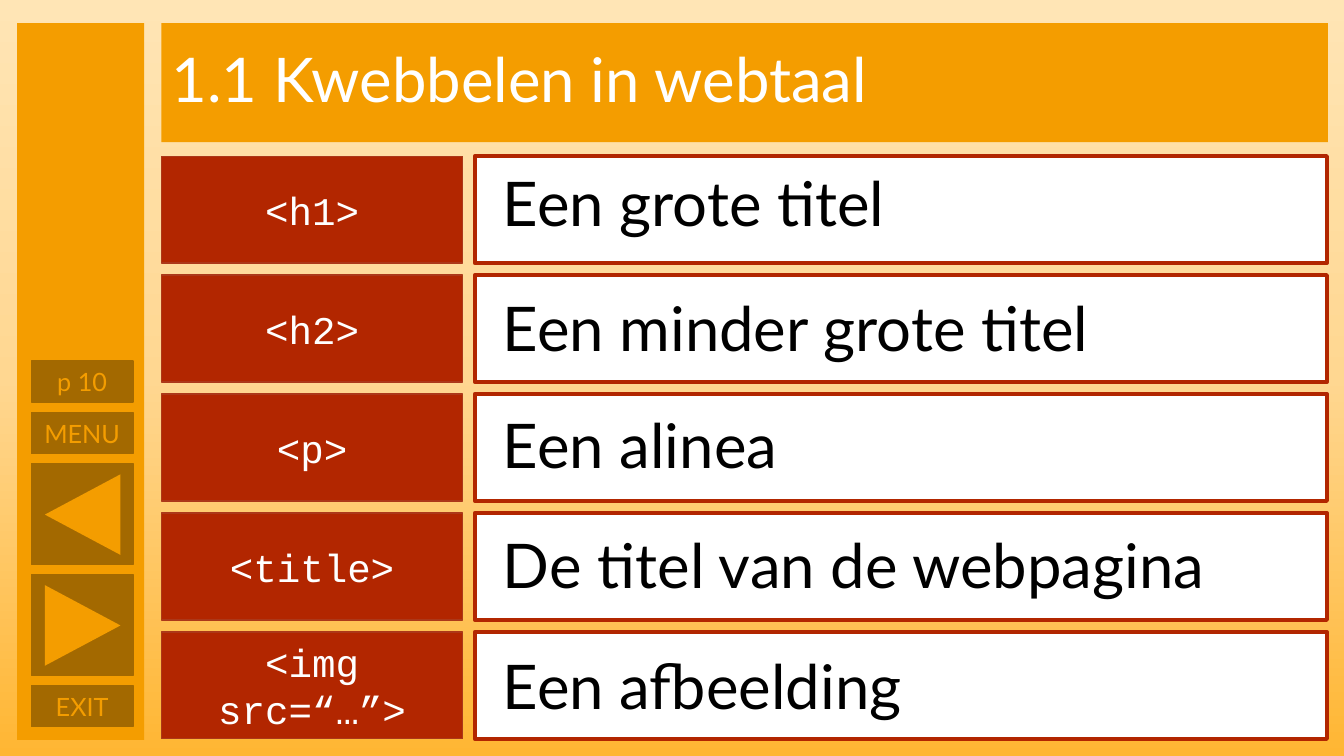
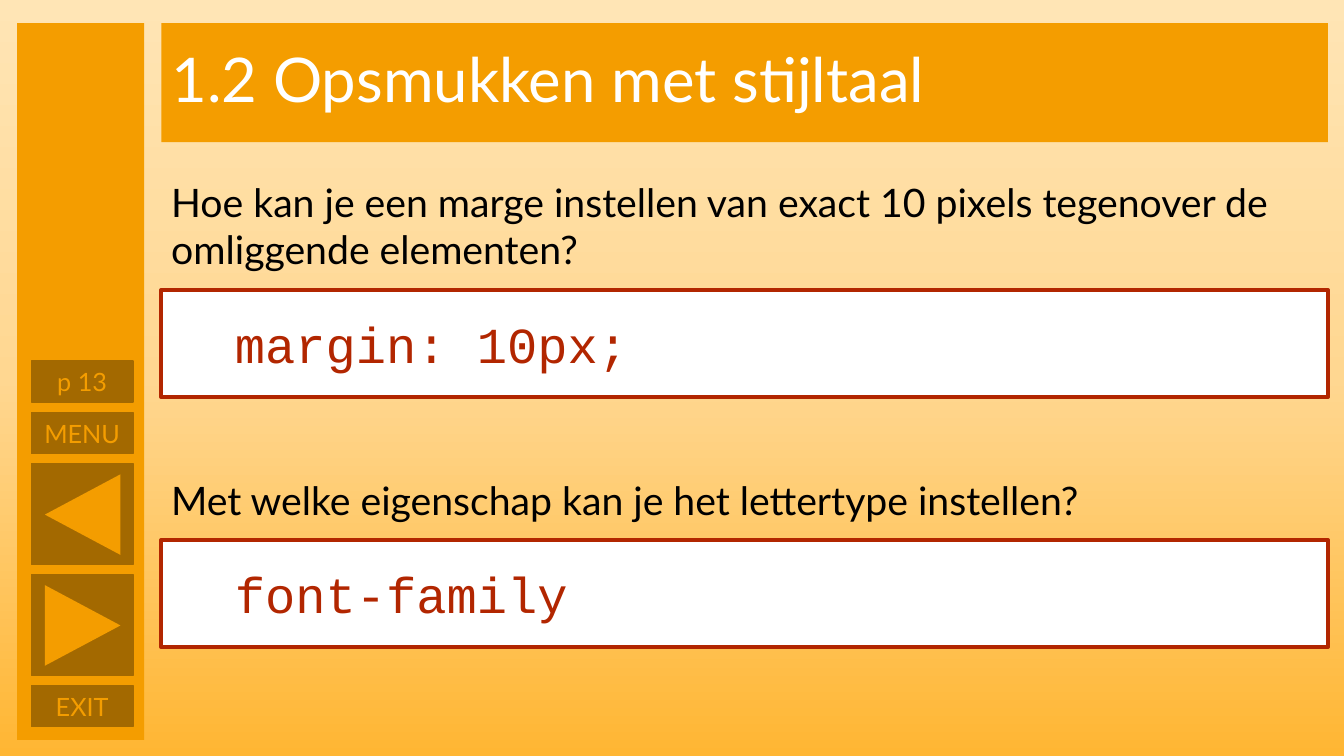
from copy import deepcopy

from pptx import Presentation
from pptx.dml.color import RGBColor
from pptx.enum.shapes import MSO_SHAPE
from pptx.enum.text import MSO_ANCHOR, MSO_AUTO_SIZE, PP_ALIGN
from pptx.util import Inches, Pt

RECTANGLE = MSO_SHAPE.RECTANGLE
TRIANGLE = MSO_SHAPE.ISOSCELES_TRIANGLE
MIDDLE = MSO_ANCHOR.MIDDLE
NO_AUTOFIT = MSO_AUTO_SIZE.NONE
LEFT, CENTER = PP_ALIGN.LEFT, PP_ALIGN.CENTER

COLORS = {
    "orange": "F49D00",
    "brown": "A36900",
    "red": "B22600",
    "red_edge": "AC3819",
    "white": "FFFFFF",
    "black": "000000",
}
BACKGROUND_STOPS = [(0, "FFE5B5"), (0.5, "FFD791"), (1, "FFB633")]
TEXT_FONT, CODE_FONT = "Lato", "Courier New"

CONTENT_LEFT, CONTENT_WIDTH = 1.6, 11.57
BUTTON_LEFT, BUTTON_WIDTH, BUTTON_HEIGHT = 0.31, 1.01, 0.41
ROW_TOP, ROW_HEIGHT, ROW_STEP = 1.55, 1.06, 1.18

TAGS = [  # tag, meaning, top of the meaning
    ("<h1>", "Een grote titel", 1.59),
    ("<h2>", "Een minder grote titel", 2.83),
    ("<p>", "Een alinea", 3.99),
    ("<title>", "De titel van de webpagina", 5.18),
    ("<img src=“…”>", "Een afbeelding", 6.38),
]
QUESTIONS = [  # question, its top and height, answer, its top
    ("Hoe kan je een marge instellen van exact 10 pixels tegenover de "
     "omliggende elementen?", 1.72, 1.04, "margin: 10px;", 2.88),
    ("Met welke eigenschap kan je het lettertype instellen?",
     4.68, 0.57, "font-family", 5.36),
]


def add_block(slide, left, top, width, height, fill, line=None, line_width=1,
              geometry=RECTANGLE):
    block = slide.shapes.add_shape(geometry, Inches(left), Inches(top),
                                   Inches(width), Inches(height))
    block.shadow.inherit = False
    block.fill.solid()
    block.fill.fore_color.rgb = RGBColor.from_string(COLORS[fill])
    if line:
        block.line.color.rgb = RGBColor.from_string(COLORS[line])
        block.line.width = Pt(line_width)
    else:
        block.line.fill.background()
    return block


def write(shape, text, size, color, font=TEXT_FONT, align=LEFT):
    shape.text_frame.word_wrap = True
    paragraph = shape.text_frame.paragraphs[0]
    paragraph.alignment = align
    run = paragraph.add_run()
    run.text = text
    run.font.name = font
    run.font.size = Pt(size)
    run.font.color.rgb = RGBColor.from_string(COLORS[color])


prs = Presentation()
prs.slide_width, prs.slide_height = Inches(13.33), Inches(7.5)

# Gradient background, shared through the master
background = prs.slide_master.background.fill
background.gradient()
background.gradient_angle = 270
stop_list = prs.slide_master.element.xpath(".//p:bg//a:gsLst")[0]
stop_list.insert(1, deepcopy(stop_list[0]))
for stop, (position, color) in zip(background.gradient_stops, BACKGROUND_STOPS):
    stop.position = position
    stop.color.rgb = RGBColor.from_string(color)

# Title band and navigation bar of both slides
slides = []
for heading, page in [("1.1 Kwebbelen in webtaal", "p 10"),
                      ("1.2 Opsmukken met stijltaal", "p 13")]:
    slide = prs.slides.add_slide(prs.slide_layouts[5])
    slides.append(slide)

    title = slide.shapes.title
    title.left, title.top = Inches(CONTENT_LEFT), Inches(0.23)
    title.width, title.height = Inches(CONTENT_WIDTH), Inches(1.18)
    title.fill.solid()
    title.fill.fore_color.rgb = RGBColor.from_string(COLORS["orange"])
    title.text_frame.auto_size = NO_AUTOFIT
    title.text_frame.vertical_anchor = MIDDLE
    write(title, heading, 44, "white")
    title.text_frame.paragraphs[0].line_spacing = 0.9

    add_block(slide, 0.17, 0.23, 1.26, 7.11, "orange")
    for label, top in [(page, 3.58), ("MENU", 4.09), ("EXIT", 6.8)]:
        button = add_block(slide, BUTTON_LEFT, top, BUTTON_WIDTH,
                           BUTTON_HEIGHT, "brown", "brown")
        write(button, label, 18, "orange", align=CENTER)
    for top, rotation in [(4.6, 270), (5.7, 90)]:
        add_block(slide, BUTTON_LEFT, top, BUTTON_WIDTH, 1, "brown", "brown")
        arrow = add_block(slide, 0.42, top + 0.13, 0.8, 0.75, "orange",
                          geometry=TRIANGLE)
        arrow.rotation = rotation

tags_slide, style_slide = slides

# Slide 1: HTML tags and their meaning
for row, (tag, meaning, meaning_top) in enumerate(TAGS):
    top = ROW_TOP + row * ROW_STEP
    tag_block = add_block(tags_slide, CONTENT_LEFT, top, 2.99, ROW_HEIGHT,
                          "red", "red_edge")
    write(tag_block, tag, 28, "white", CODE_FONT, CENTER)
    add_block(tags_slide, 4.71, top, 8.45, ROW_HEIGHT, "white", "red", 3)
    meaning_box = tags_slide.shapes.add_textbox(
        Inches(4.89), Inches(meaning_top), Inches(8.27), Inches(0.84))
    write(meaning_box, meaning, 44, "black")

# Slide 2: questions about CSS with their answers
for question, top, height, answer, answer_top in QUESTIONS:
    question_box = style_slide.shapes.add_textbox(
        Inches(CONTENT_LEFT), Inches(top), Inches(CONTENT_WIDTH), Inches(height))
    write(question_box, question, 28, "black")
    answer_block = add_block(style_slide, CONTENT_LEFT, answer_top,
                             CONTENT_WIDTH, ROW_HEIGHT, "white", "red", 3)
    answer_block.text_frame.margin_left = Inches(0.73)
    write(answer_block, answer, 36, "red", CODE_FONT)

prs.save("out.pptx")
